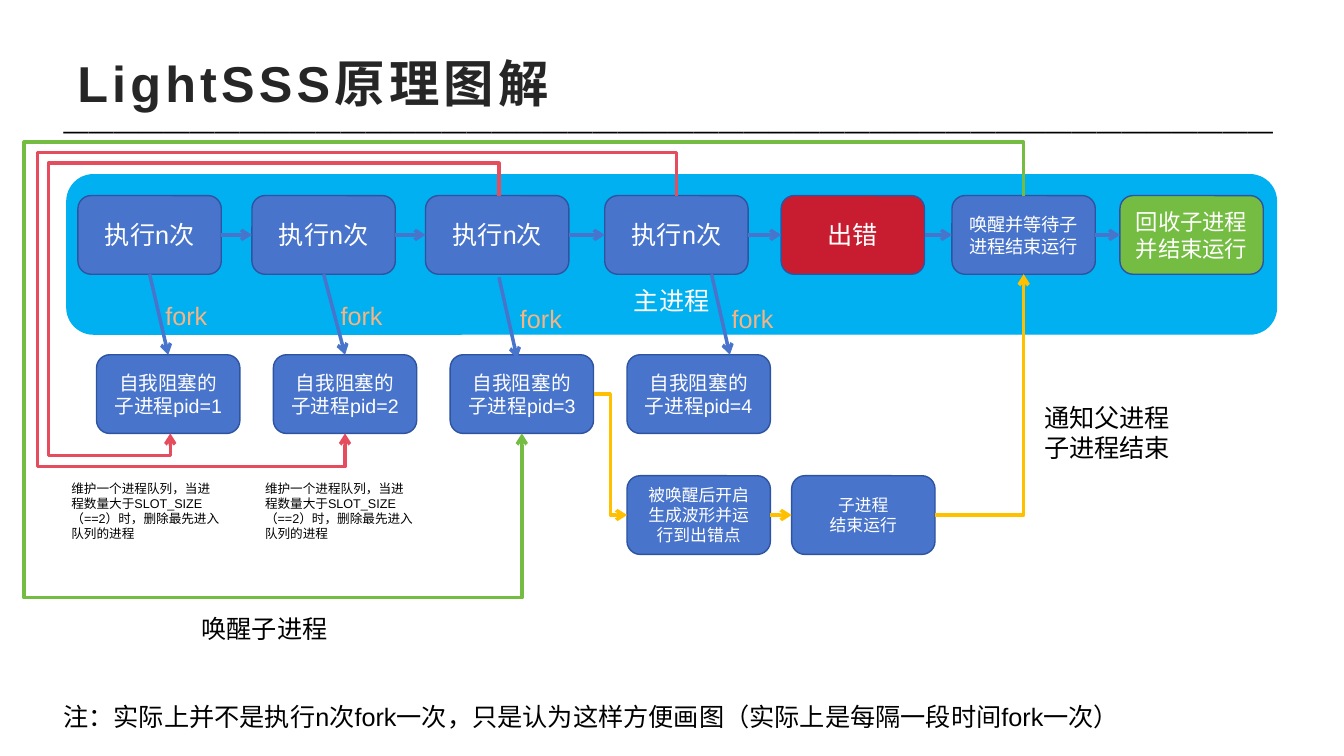
from lxml.etree import SubElement
from pptx import Presentation
from pptx.dml.color import RGBColor
from pptx.enum.shapes import MSO_CONNECTOR, MSO_SHAPE
from pptx.enum.text import MSO_ANCHOR, MSO_AUTO_SIZE, PP_ALIGN
from pptx.oxml.ns import qn
from pptx.util import Pt

WHITE = RGBColor(0xFF, 0xFF, 0xFF)
BLACK = RGBColor(0x00, 0x00, 0x00)
DARK = RGBColor(0x26, 0x26, 0x26)
SKY = RGBColor(0x00, 0xB0, 0xF0)
BLUE = RGBColor(0x48, 0x74, 0xCB)
NAVY = RGBColor(0x2E, 0x54, 0xA1)
CRIMSON = RGBColor(0xC8, 0x1D, 0x31)
GREEN = RGBColor(0x75, 0xBD, 0x42)
ROSE = RGBColor(0xE5, 0x4C, 0x5E)
AMBER = RGBColor(0xFF, 0xC0, 0x00)
PEACH = RGBColor(0xF5, 0xB4, 0x82)

BOX_W, BOX_H = 102.4, 56.2
MAIN_Y, CHILD_Y, WOKEN_Y = 139.7, 253.4, 339.8
TOP, LEFT, BOTTOM, RIGHT = range(4)


class Diagram:
    """Draws the elements of one slide in a shared style; lengths in points."""

    font = "Arial"
    arrow_width = 2.5

    def __init__(self, slide):
        self.slide = slide
        self.shapes = slide.shapes

    def style(self, tf, size, color, align, bold=False, spacing=None):
        for p in tf.paragraphs:
            p.alignment = align
            for r in p.runs:
                r.font.name, r.font.size, r.font.bold = self.font, Pt(size), bold
                r.font.color.rgb = color
                rPr = r.font._element
                rPr.set("lang", "zh-CN")
                SubElement(rPr, qn("a:ea")).set("typeface", self.font)
                if spacing:
                    rPr.set("spc", str(spacing * 100))

    def title(self, text, x, y, w, h):
        sp = self.shapes.title
        sp.left, sp.top, sp.width, sp.height = Pt(x), Pt(y), Pt(w), Pt(h)
        tf = sp.text_frame
        tf.text = text
        tf.auto_size = MSO_AUTO_SIZE.NONE
        tf.vertical_anchor = MSO_ANCHOR.MIDDLE
        self.style(tf, 36, DARK, PP_ALIGN.LEFT, bold=True, spacing=3)

    def text(self, text, x, y, w, h, size=18, color=BLACK, align=PP_ALIGN.LEFT):
        tf = self.shapes.add_textbox(Pt(x), Pt(y), Pt(w), Pt(h)).text_frame
        tf.word_wrap = True
        tf.text = text
        self.style(tf, size, color, align)

    def box(self, text, x, y, size=18, fill=BLUE, line=NAVY, w=BOX_W, h=BOX_H):
        sp = self.shapes.add_shape(MSO_SHAPE.ROUNDED_RECTANGLE, Pt(x), Pt(y), Pt(w), Pt(h))
        sp.shadow.inherit = False
        sp.fill.solid()
        sp.fill.fore_color.rgb = fill
        sp.line.color.rgb = line
        sp.line.width = Pt(1)
        tf = sp.text_frame
        tf.word_wrap = True
        tf.vertical_anchor = MSO_ANCHOR.MIDDLE
        tf.text = text
        self.style(tf, size, WHITE, PP_ALIGN.CENTER)
        return sp

    def arrow(self, x1, y1, x2, y2, color=BLUE, kind=MSO_CONNECTOR.STRAIGHT):
        c = self.shapes.add_connector(kind, Pt(x1), Pt(y1), Pt(x2), Pt(y2))
        c.line.color.rgb = color
        c.line.width = Pt(self.arrow_width)
        SubElement(c.line._get_or_add_ln(), qn("a:tailEnd")).set("type", "arrow")
        SubElement(c._element.spPr, qn("a:effectLst"))
        return c

    def join(self, start, side1, end, side2, color=BLUE, kind=MSO_CONNECTOR.STRAIGHT):
        c = self.arrow(0, 0, 0, 0, color, kind)
        c.begin_connect(start, side1)
        c.end_connect(end, side2)
        return c

    def loop(self, x1, y1, x2, y2, top, left, bottom, color):
        """Arrow going up, round the left edge and back up to its target."""
        c = self.arrow(x1, y1, x2, y2, color, MSO_CONNECTOR.ELBOW)
        dx, dy = x1 - x2, y2 - y1
        c.left, c.top = Pt((x1 + x2 - dy) / 2), Pt((y1 + y2 - dx) / 2)
        c.width, c.height = Pt(dy), Pt(dx)
        xfrm = c._element.spPr.find(qn("a:xfrm"))
        for name, value in (("rot", "16200000"), ("flipH", "1"), ("flipV", "1")):
            xfrm.set(name, value)
        self.bend(c, "bentConnector5", (top - y1) / dy, (x1 - left) / dx, (bottom - y1) / dy)

    def bend(self, c, preset, *ratios):
        geom = c._element.spPr.find(qn("a:prstGeom"))
        geom.set("prst", preset)
        av = geom.find(qn("a:avLst"))
        if av is None:
            av = SubElement(geom, qn("a:avLst"))
        for i, ratio in enumerate(ratios, 1):
            gd = SubElement(av, qn("a:gd"))
            gd.set("name", f"adj{i}")
            gd.set("fmla", f"val {round(ratio * 100000)}")


def main():
    prs = Presentation()
    prs.slide_width, prs.slide_height = Pt(960), Pt(540)
    d = Diagram(prs.slides.add_slide(prs.slide_layouts[5]))

    # Heading and its rule
    d.title("LightSSS原理图解", 48, 31, 864, 55.5)
    d.text("—" * 48, 38.2, 77.8, 882.7, 17.3, align=PP_ALIGN.JUSTIFY)

    # Main process panel
    panel = d.box("主进程", 47.8, 124.8, fill=SKY, line=SKY, w=864, h=113.8)
    panel.text_frame.vertical_anchor = MSO_ANCHOR.BOTTOM
    panel.text_frame.margin_bottom = Pt(8)

    # Steps of the main process
    steps = [
        ("执行n次", 55.7, 18, BLUE),
        ("执行n次", 180, 18, BLUE),
        ("执行n次", 304, 18, BLUE),
        ("执行n次", 432, 18, BLUE),
        ("出错", 558, 18, CRIMSON),
        ("唤醒并等待子进程结束运行", 680, 13, BLUE),
        ("回收子进程\n并结束运行", 800, 16, GREEN),
    ]
    mains = [d.box(text, x, MAIN_Y, size, fill) for text, x, size, fill in steps]
    for start, end in zip(mains, mains[1:]):
        d.join(start, RIGHT, end, LEFT)

    # Forked child processes
    children = [d.box(f"自我阻塞的子进程pid={i + 1}", 69 + 126.3 * i, CHILD_Y, 14)
                for i in range(4)]
    for start, end in zip(mains[:2], children):
        d.join(start, BOTTOM, end, TOP)
    d.arrow(356.4, 198, 369.4, 256)
    d.arrow(508.3, 195.9, 521.3, CHILD_Y)
    for x, y in ((111, 211), (236.2, 211), (364.3, 213), (515.5, 213)):
        d.text("fork", x, y, 47.5, 28, color=PEACH)

    # Queue limit: the oldest child is removed
    for x in (43.9, 182.2):
        d.text("维护一个进程队列，当进程数量大于SLOT_SIZE（==2）时，删除最先进入队列的进程",
               x, WOKEN_Y, 121.7, 51, size=9)
    child_bottom = CHILD_Y + BOX_H
    d.loop(356.4, MAIN_Y, 121.7, child_bottom, 116.6, 34.7, 325.4, ROSE)
    d.loop(483.2, MAIN_Y, 246.5, child_bottom, 108.7, 26.8, 333.4, ROSE)

    # Waking the child
    d.loop(731.2, MAIN_Y, 372.8, child_bottom, 101.5, 17.4, 427, GREEN)
    d.text("唤醒子进程", 136.8, 434.2, 113.8, 23.8)

    # Woken child runs to the error and reports back
    woken = d.box("被唤醒后开启生成波形并运行到出错点", 447.9, WOKEN_Y, 12)
    ended = d.box("子进程\n结束运行", 565.5, WOKEN_Y, 12)
    d.join(children[2], RIGHT, woken, LEFT, AMBER, MSO_CONNECTOR.ELBOW)
    d.join(woken, RIGHT, ended, LEFT, AMBER)
    report = d.join(ended, RIGHT, mains[5], BOTTOM, AMBER, MSO_CONNECTOR.ELBOW)
    d.bend(report, "bentConnector2")
    d.text("通知父进程子进程结束", 738.7, 283.7, 113.8, 48.2)

    # Footnote
    d.text("注：实际上并不是执行n次fork一次，只是认为这样方便画图（实际上是每隔一段时间fork一次）",
           38.2, 497.5, 873.4, 29)

    prs.save("out.pptx")


if __name__ == "__main__":
    main()
